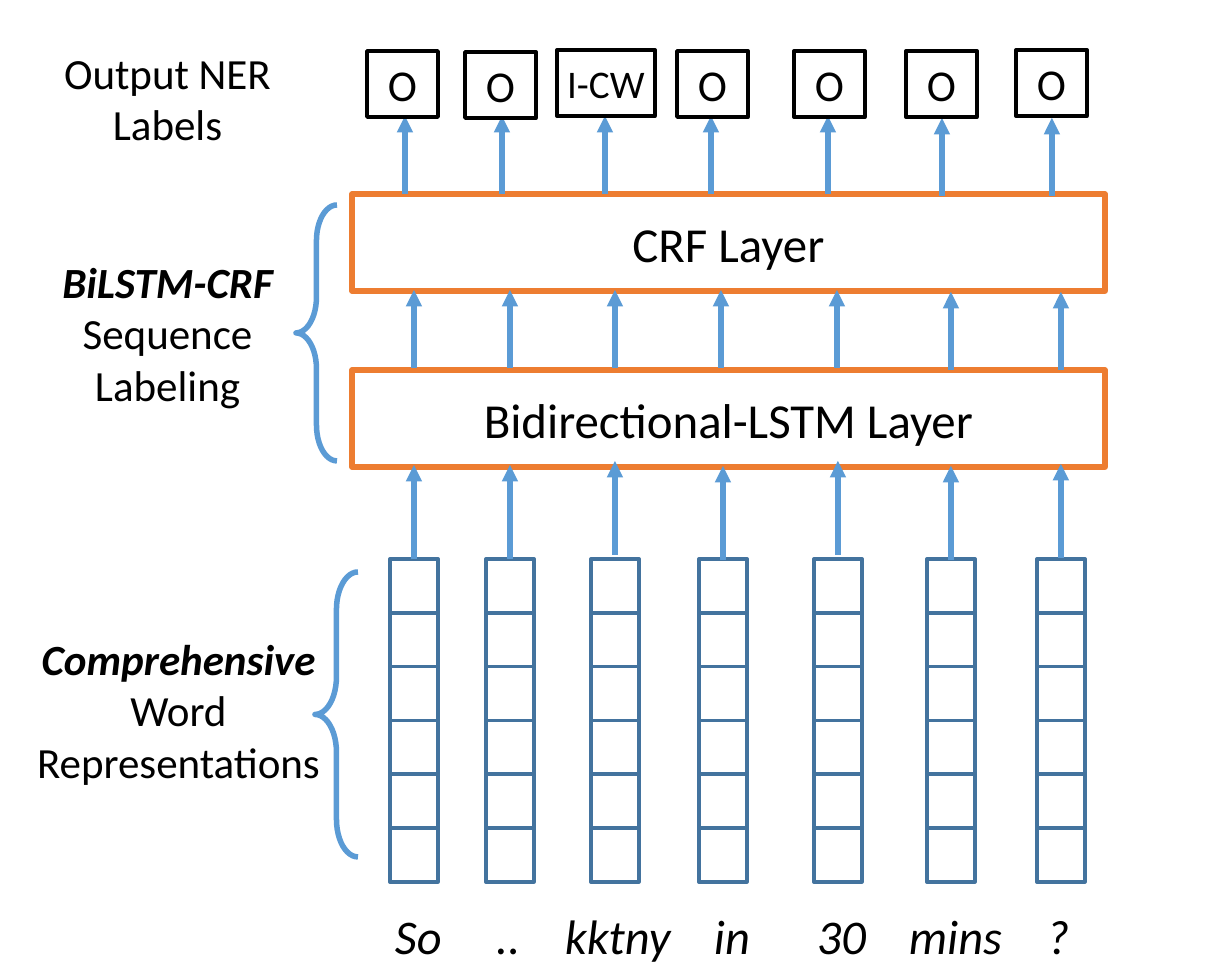
"""Builds a slide of a BiLSTM-CRF network that labels the words of a sentence."""
from pptx import Presentation
from pptx import util as u
from pptx.dml.color import RGBColor
from pptx.enum import shapes, text
from pptx.oxml.ns import qn
from lxml import etree

INK = {"black": "000000", "blue": "5B9BD5", "navy": "43739E", "orange": "ED7D31"}
FONT = "Calibri"
PX = u.Inches(1) // 88
PAD = 9

WORDS = [("So", 395), ("..", 496), ("kktny", 565), ("in", 714),
         ("30", 817), ("mins", 909), ("?", 1047)]
TAGS = [("O", 367, 51, 71, 36), ("O", 465, 52, 71, 36), ("I-CW", 557, 50, 98, 32),
        ("O", 677, 51, 71, 36), ("O", 794, 51, 71, 36), ("O", 906, 51, 71, 36),
        ("O", 1016, 50, 71, 36)]
COLS = [414, 510, 615, 723, 838, 951, 1061]
CELLS, CELL_W, CELL_TOP, STACK = 6, 48, 559, 323
LAYERS = [("CRF Layer", 194), ("Bidirectional-LSTM Layer", 370)]
DIPS = [0, 0, 0, 0, 0, 2, 2]
FLOWS = [
    (94, COLS, [465, 465, 461, 466, 461, 466, 464]),
    (78, [414, 510, 615, 721, 837, 951, 1061], [290 + d for d in DIPS]),
    (78, [405, 502, 605, 711, 828, 942, 1052], [116 + d for d in DIPS]),
]
BRACES = [(315, 572, 43, 285), (296, 205, 41, 256)]
NOTES = [
    ((27, 628, 303, 165), "Comprehensive", " Word Representations"),
    ((37, 251, 261, 165), "BiLSTM-CRF", " Sequence Labeling"),
    ((37, 42, 261, 114), "", "Output NER Labels"),
]


def px(*nums):
    return [round(n * PX) for n in nums]


def ink(name):
    return RGBColor.from_string(INK[name])


def style(run, size, bold=False, slant=False):
    font = run.font
    font.name, font.size, font.color.rgb = FONT, u.Pt(size), ink("black")
    font.bold, font.italic = bold, slant


def draw(home, kind, box, hue, width):
    item = home.add_shape(kind, *px(*box))
    item.shadow.inherit = False
    item.fill.background()
    item.line.color.rgb, item.line.width = ink(hue), u.Pt(width)
    return item


def label(box, hue, width, words, size):
    item = draw(slide.shapes, shapes.MSO_SHAPE.RECTANGLE, box, hue, width)
    frame = item.text_frame
    frame.text, frame.word_wrap = words, False
    frame.vertical_anchor = text.MSO_ANCHOR.MIDDLE
    para = frame.paragraphs[0]
    para.alignment = text.PP_ALIGN.CENTER
    style(para.runs[0], size)


def write(box):
    frame = slide.shapes.add_textbox(*px(*box)).text_frame
    frame.word_wrap = True
    frame.auto_size = text.MSO_AUTO_SIZE.SHAPE_TO_FIT_TEXT
    frame.margin_left = frame.margin_right = PAD * PX
    return frame.paragraphs[0]


def arrow(x, tip, length):
    line = slide.shapes.add_connector(
        shapes.MSO_CONNECTOR.STRAIGHT, *px(x, tip + length, x, tip))
    line.line.color.rgb, line.line.width = ink("blue"), u.Pt(4.5)
    etree.SubElement(line.line._get_or_add_ln(), qn("a:tailEnd"), type="triangle")
    etree.SubElement(line._element.spPr, qn("a:effectLst"))


deck = Presentation()
deck.slide_width, deck.slide_height = u.Inches(14), u.Inches(11)
slide = deck.slides.add_slide(deck.slide_layouts[6])

for mid in COLS:
    stack = slide.shapes.add_group_shape()
    high = STACK / CELLS
    for row in range(CELLS):
        cell = (mid - CELL_W / 2, CELL_TOP + row * high, CELL_W, high)
        draw(stack.shapes, shapes.MSO_SHAPE.RECTANGLE, cell, "navy", 3)

for name, top in LAYERS:
    label((352, top, 753, 97), "orange", 4.5, name, 40)

for length, xs, tips in FLOWS:
    for x, tip in zip(xs, tips):
        arrow(x, tip, length)

for box in BRACES:
    brace = draw(slide.shapes, shapes.MSO_SHAPE.LEFT_BRACE, box, "blue", 4.5)
    brace.adjustments[0], brace.adjustments[1] = 0.874, 0.5

for tag, left, top, width, size in TAGS:
    label((left, top, width, 66), "black", 3, tag, size)

for box, strong, plain in NOTES:
    para = write(box)
    para.alignment = text.PP_ALIGN.CENTER
    for part, loud in ((strong, True), (plain, False)):
        if part:
            run = para.add_run()
            run.text = part
            style(run, 35.2, loud, loud)

start = WORDS[0][1]
para = write((start - PAD, 902, 742, 68))
para.text = "\t".join(word for word, left in WORDS)
style(para.runs[0], 39.6, slant=True)
tabs = etree.SubElement(para._p.get_or_add_pPr(), qn("a:tabLst"))
for word, left in WORDS[1:]:
    etree.SubElement(tabs, qn("a:tab"), pos=str((left - start) * PX), algn="l")

deck.save("out.pptx")
